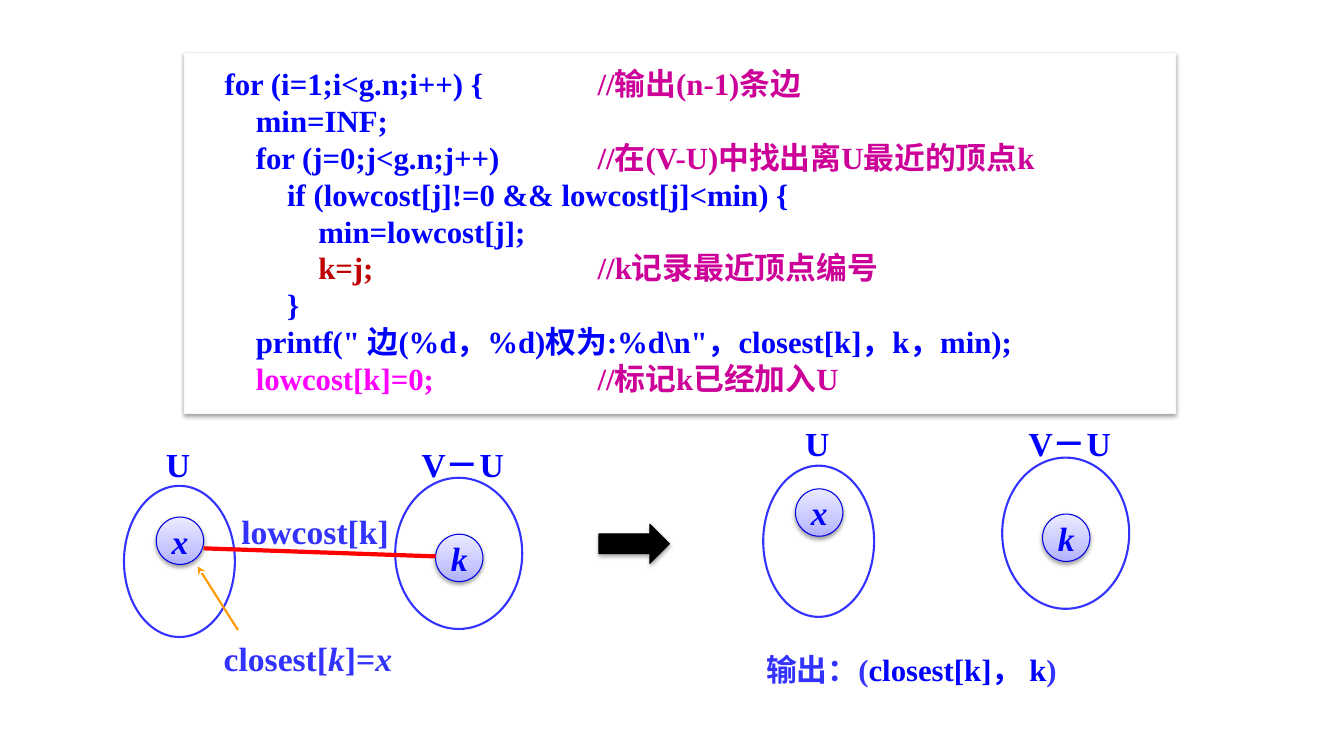
from lxml import etree
from pptx import Presentation
from pptx.dml.color import RGBColor
from pptx.enum import shapes as sh, text as tx
from pptx.oxml import parse_xml
from pptx.oxml.ns import nsdecls, qn
from pptx.util import Emu, Pt

PX = 9144  # 100 px to the inch
FONT = "Times New Roman"
BLUE, INDIGO, PURPLE = "0000FF", "3333FF", "CC0099"
NODE = 47
CODE_TABS = [30 + 31 * level for level in range(4)] + [400]  # last one: comments
CODE = [  # indent level, code, its colour, comment
    (0, "for (i=1;i<g.n;i++) {", BLUE, "//输出(n-1)条边"),
    (1, "min=INF;", BLUE, ""),
    (1, "for (j=0;j<g.n;j++)", BLUE, "//在(V-U)中找出离U最近的顶点k"),
    (2, "if (lowcost[j]!=0 && lowcost[j]<min) {", BLUE, ""),
    (3, "min=lowcost[j];", BLUE, ""),
    (3, "k=j;", "C00000", "//k记录最近顶点编号"),
    (2, "}", BLUE, ""),
    (1, 'printf(" 边(%d，%d)权为:%d\\n"，closest[k]，k，min);', BLUE, ""),
    (1, "lowcost[k]=0;", "FF00FF", "//标记k已经加入U"),
]


def px(*values):
    return [Emu(v * PX) for v in values]


def rgb(value):
    return RGBColor.from_string(value)


def write(p, pieces, size=24):
    """Add runs given as (text, colour) or (text, colour, italic)."""
    for text, color, *italic in pieces:
        r = p.add_run()
        r.text = text
        r.font.name, r.font.size, r.font.bold = FONT, Pt(size), True
        r.font.italic = bool(italic)
        r.font.color.rgb = rgb(color)


def add_shape(shapes, kind, box, line, width, fill=None):
    sp = shapes.add_shape(kind, *px(*box))
    sp.shadow.inherit = False
    sp.line.color.rgb, sp.line.width = rgb(line), Pt(width)
    if fill:
        sp.fill.solid()
        sp.fill.fore_color.rgb = rgb(fill)
    else:
        sp.fill.background()
    return sp


def add_shadow(sp, alpha=38):
    effects = sp._element.spPr.find(qn("a:effectLst"))
    effects.append(parse_xml(
        f'<a:outerShdw {nsdecls("a")} blurRad="39370" dist="20320" dir="5400000" '
        f'rotWithShape="0"><a:srgbClr val="000000"><a:alpha val="{alpha}000"/>'
        '</a:srgbClr></a:outerShdw>'))


def add_label(shapes, box, pieces, size=24, align=tx.PP_ALIGN.CENTER):
    tf = shapes.add_textbox(*px(*box)).text_frame
    tf.word_wrap = True
    tf.paragraphs[0].alignment = align
    write(tf.paragraphs[0], pieces, size)


def add_line(shapes, ends, color, width):
    c = shapes.add_connector(sh.MSO_CONNECTOR.STRAIGHT, *px(*ends))
    c.line.color.rgb, c.line.width = rgb(color), Pt(width)
    etree.SubElement(c._element.spPr, qn("a:effectLst"))
    return c


def add_node(shapes, x, y, name):
    sp = add_shape(shapes, sh.MSO_SHAPE.OVAL, (x, y, NODE, NODE), "0000E2", 0.75, "C8C8FF")
    stops = "".join(f'<a:gs pos="{pos}000"><a:srgbClr val="{color}"/></a:gs>'
                    for pos, color in ((0, "B1B1FF"), (35, "C8C8FF"), (100, "EAEAFF")))
    spPr = sp._element.spPr
    spPr.replace(spPr.find(qn("a:solidFill")), parse_xml(
        f'<a:gradFill {nsdecls("a")} rotWithShape="1"><a:gsLst>{stops}</a:gsLst>'
        '<a:lin ang="16200000" scaled="1"/></a:gradFill>'))
    add_shadow(sp)
    tf = sp.text_frame
    tf.word_wrap, tf.vertical_anchor = False, tx.MSO_ANCHOR.MIDDLE
    tf.paragraphs[0].alignment = tx.PP_ALIGN.CENTER
    write(tf.paragraphs[0], [(name, BLUE, True)])


def add_vertex_set(shapes, box, name, label, node, node_dy):
    """An ellipse with its label above and one vertex inside."""
    x, y, w, h = box
    label_x, label_y, label_w = label
    add_shape(shapes, sh.MSO_SHAPE.OVAL, box, INDIGO, 1.5)
    add_label(shapes, (x + label_x, y + label_y, label_w, 50), [(name, BLUE)])
    add_node(shapes, x + (w - NODE + 1) // 2, y + node_dy, node)


def add_vertex_sets(shapes, u_at, v_at, x_dy):
    add_vertex_set(shapes, (*v_at, 126, 150), "V－U", (8, -39, 118), "k", 56)
    add_vertex_set(shapes, (*u_at, 110, 150), "U", (26, -47, 55), "x", x_dy)


def add_code(shapes, box):
    sp = add_shape(shapes, sh.MSO_SHAPE.RECTANGLE, box, "F9F9F9", 0.75, "FFFFFF")
    add_shadow(sp)
    tf = sp.text_frame
    tf.vertical_anchor = tx.MSO_ANCHOR.TOP
    tf.margin_top, tf.margin_bottom = px(11, 12)
    for i, (level, code, color, comment) in enumerate(CODE):
        p = tf.paragraphs[0] if i == 0 else tf.add_paragraph()
        p.alignment = tx.PP_ALIGN.LEFT
        tabs = etree.SubElement(p._p.get_or_add_pPr(), qn("a:tabLst"))
        # Keep the stops for this line's indent and the comment column
        for stop in CODE_TABS[level], CODE_TABS[-1]:
            etree.SubElement(tabs, qn("a:tab"), pos=str(stop * PX), algn="l")
        write(p, [("\t" + code, color)], 22)
        if comment:
            write(p, [("\t" + comment, PURPLE)], 22)


def add_before(shapes):
    """The cheapest edge between the two sets."""
    g = shapes.add_group_shape().shapes
    add_vertex_sets(g, (123, 482), (392, 474), 31)
    add_label(g, (225, 502, 175, 50), [("lowcost[k]", INDIGO)])
    pointer = add_line(g, (236, 625, 196, 562), "FF9900", 1.5)
    etree.SubElement(pointer.line._get_or_add_ln(), qn("a:tailEnd"), type="stealth")
    add_label(g, (212, 628, 210, 50),
              [("closest[", INDIGO), ("k", INDIGO, True), ("]=", INDIGO), ("x", INDIGO, True)],
              align=tx.PP_ALIGN.LEFT)
    add_line(shapes, (202, 544, 432, 552), "FF0000", 3)


def add_after(shapes):
    """The sets once the edge has been printed."""
    add_vertex_sets(shapes, (757, 462), (994, 454), 23)
    add_label(shapes, (750, 641, 415, 47),
              [("输出：(", INDIGO), ("closest[k]， k", BLUE), (")", INDIGO)],
              22, tx.PP_ALIGN.LEFT)


def main():
    prs = Presentation()
    prs.slide_width, prs.slide_height = px(1333, 750)
    s = prs.slides.add_slide(prs.slide_layouts[6])
    add_code(s.shapes, (183, 53, 983, 357))
    add_before(s.shapes)
    arrow = add_shape(s.shapes, sh.MSO_SHAPE.RIGHT_ARROW, (594, 520, 70, 39),
                      "000000", 0.75, "000000")
    add_shadow(arrow, 35)
    add_after(s.shapes)
    prs.save("out.pptx")


if __name__ == "__main__":
    main()
